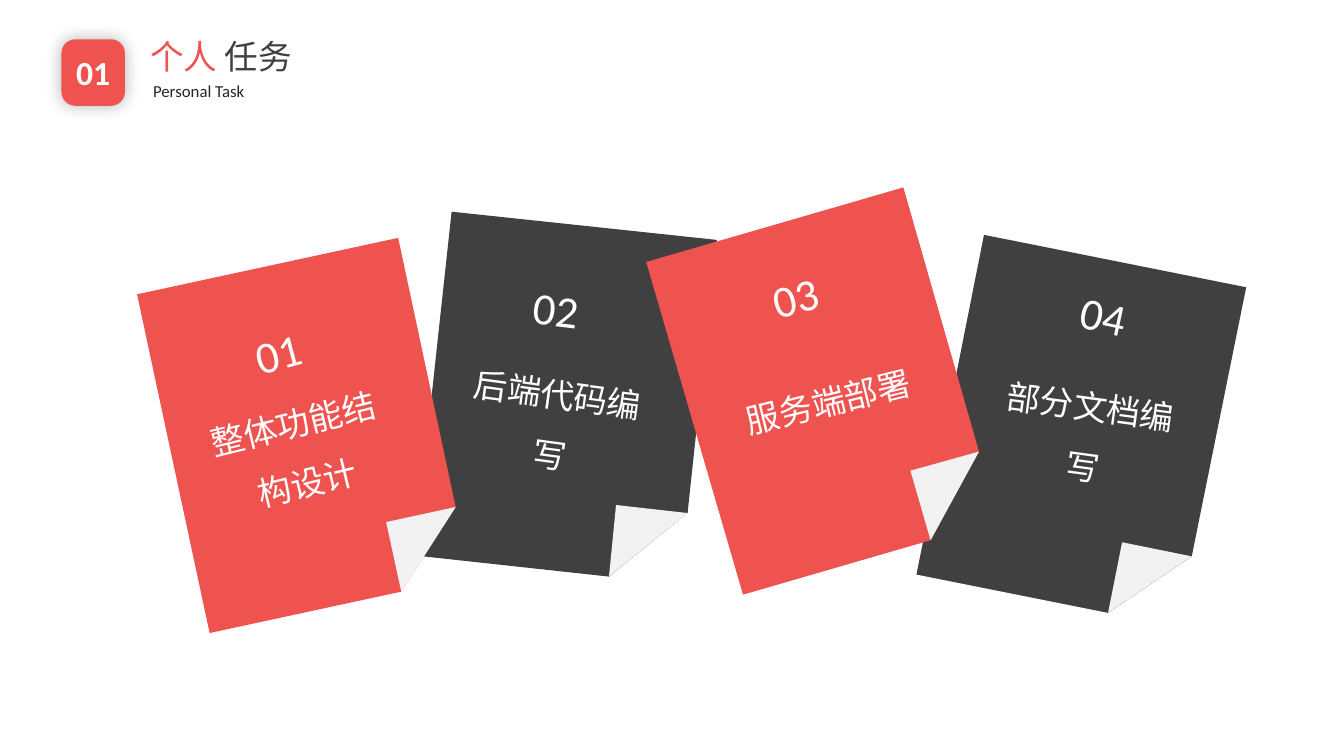
from dataclasses import dataclass
from lxml.etree import SubElement
from pptx import Presentation
from pptx.dml.color import RGBColor as RGB
from pptx.enum.shapes import MSO_SHAPE as Shape
from pptx.enum.text import MSO_ANCHOR as Anchor, MSO_AUTO_SIZE as Fit, PP_ALIGN as Align
from pptx.oxml.ns import qn
from pptx.util import Inches, Pt


@dataclass(frozen=True)
class Theme:
    """Colours, fonts and type sizes."""
    red: str = "EE534F"
    dark: str = "404040"
    ink: str = "262425"
    fold: str = "F2F2F2"
    white: str = "FFFFFF"
    latin: str = "Calibri"
    asian: str = "Noto Sans CJK SC"
    small: int = 12
    body: int = 24
    large: int = 32


class Deck:
    """Draws styled elements on the current slide."""

    def __init__(self, theme):
        self.theme = theme
        self.file = Presentation()
        self.file.slide_width = Inches(13.33)
        self.file.slide_height = Inches(7.5)
        self.slide = self.file.slides.add_slide(self.file.slide_layouts[6])

    def label(self, frame, runs, size, font, align=None, bold=None):
        """Fill a text frame with one paragraph of coloured runs."""
        para = frame.paragraphs[0]
        para.alignment = align
        para.font.size = Pt(size)
        para.font.bold = bold
        para.font.name = font
        if len(runs) == 1:
            para.font.color.rgb = RGB.from_string(runs[0][1])
        SubElement(para.font._rPr, qn("a:ea"), typeface=self.theme.asian)
        for text, tint in runs:
            run = para.add_run()
            run.text = text
            if len(runs) > 1:
                run.font.color.rgb = RGB.from_string(tint)

    def text(self, home, spot, runs, size, font, align=None, turn=0, wrap=True, fit=True):
        """Add a text box and return its shape."""
        box = home.add_textbox(*map(Inches, spot))
        frame = box.text_frame
        frame.word_wrap = wrap
        frame.auto_size = Fit.SHAPE_TO_FIT_TEXT if fit else Fit.NONE
        self.label(frame, runs, size, font, align)
        box.rotation = turn
        return box

    def poly(self, home, spots, tint):
        """Add a closed filled outline."""
        spots = [(Inches(x), Inches(y)) for x, y in spots]
        pen = home.build_freeform(*spots[0])
        pen.add_line_segments(spots[1:], close=True)
        form = pen.convert_to_shape()
        form.shadow.inherit = False
        form.fill.solid()
        form.fill.fore_color.rgb = RGB.from_string(tint)
        form.line.fill.background()

    def note(self, tint, sheet, inner, task, spot, turn, num, place, tilt):
        """Add a paper note with a folded corner."""
        look = self.theme
        home = self.slide.shapes.add_group_shape().shapes
        self.poly(home, sheet, tint)
        self.poly(home, [*sheet[3:], inner], look.fold)
        box = self.text(home, spot, [(task, look.white)], look.body, look.asian,
                        Align.CENTER, turn)
        box.text_frame.paragraphs[0].line_spacing = 1.5
        self.text(home, (*place, 0.76, 0.64), [(num, look.white)], look.large, look.latin,
                  turn=tilt, wrap=False)

    def badge(self, spot, num):
        """Add the rounded section number with a soft shadow."""
        look = self.theme
        tile = self.slide.shapes.add_shape(Shape.ROUNDED_RECTANGLE, *map(Inches, spot))
        tile.adjustments[0] = 0.22
        tile.fill.solid()
        tile.fill.fore_color.rgb = RGB.from_string(look.red)
        tile.line.fill.background()
        tile.shadow.inherit = False
        glow = SubElement(tile._element.spPr.find(qn("a:effectLst")), qn("a:outerShdw"),
                          blurRad=str(Pt(12)), dist="0", dir="0", algn="ctr", rotWithShape="0")
        shade = SubElement(glow, qn("a:srgbClr"), val="000000")
        SubElement(shade, qn("a:alpha"), val="30000")
        tile.text_frame.vertical_anchor = Anchor.MIDDLE
        self.label(tile.text_frame, [(num, look.white)], look.body, look.latin,
                   Align.CENTER, True)

    def title(self, runs, sub):
        """Add the heading and its subtitle."""
        look = self.theme
        home = self.slide.shapes.add_group_shape().shapes
        head = self.text(home, (1.39, 0.21, 3.6, 0.7), runs, look.body, look.latin, fit=False)
        head.text_frame.vertical_anchor = Anchor.MIDDLE
        self.text(home, (1.42, 0.75, 4, 0.3), [(sub, look.ink)], look.small, look.latin,
                  Align.JUSTIFY)


def main():
    """Build and save the slide."""
    look = Theme()
    deck = Deck(look)
    notes = [
        (look.dark, [(12.36, 2.85), (9.76, 2.33), (9.09, 5.7), (10.99, 6.08), (11.82, 5.52)],
         (11.13, 5.38), "部分文档编写", (9.77, 3.58, 2.05, 1.24), 7.8, "04", (10.62, 2.82), 12.1),
        (look.dark, [(7.11, 2.38), (4.48, 2.1), (4.11, 5.51), (6.04, 5.72), (6.82, 5.09)],
         (6.11, 5.01), "后端代码编写", (4.48, 3.46, 2.05, 1.31), 7.8, "02", (5.19, 2.75), 6.8),
        (look.red, [(3.95, 2.36), (1.36, 2.92), (2.08, 6.28), (3.98, 5.87), (4.52, 5.03)],
         (3.83, 5.18), "整体功能结构设计", (1.93, 3.75, 2.05, 1.31), -13.8, "01", (2.43, 3.16), -15),
        (look.red, [(8.96, 1.86), (6.41, 2.6), (7.37, 5.9), (9.23, 5.36), (9.71, 4.48)],
         (9.03, 4.67), "服务端部署", (7.16, 3.54, 2.05, 0.64), -13.8, "03", (7.56, 2.61), -15),
    ]
    for note in notes:
        deck.note(*note)
    deck.badge((0.61, 0.39, 0.63, 0.66), "01")
    deck.title([("个人 ", look.red), ("任务", look.dark)], "Personal Task")
    deck.file.save("out.pptx")


if __name__ == "__main__":
    main()
